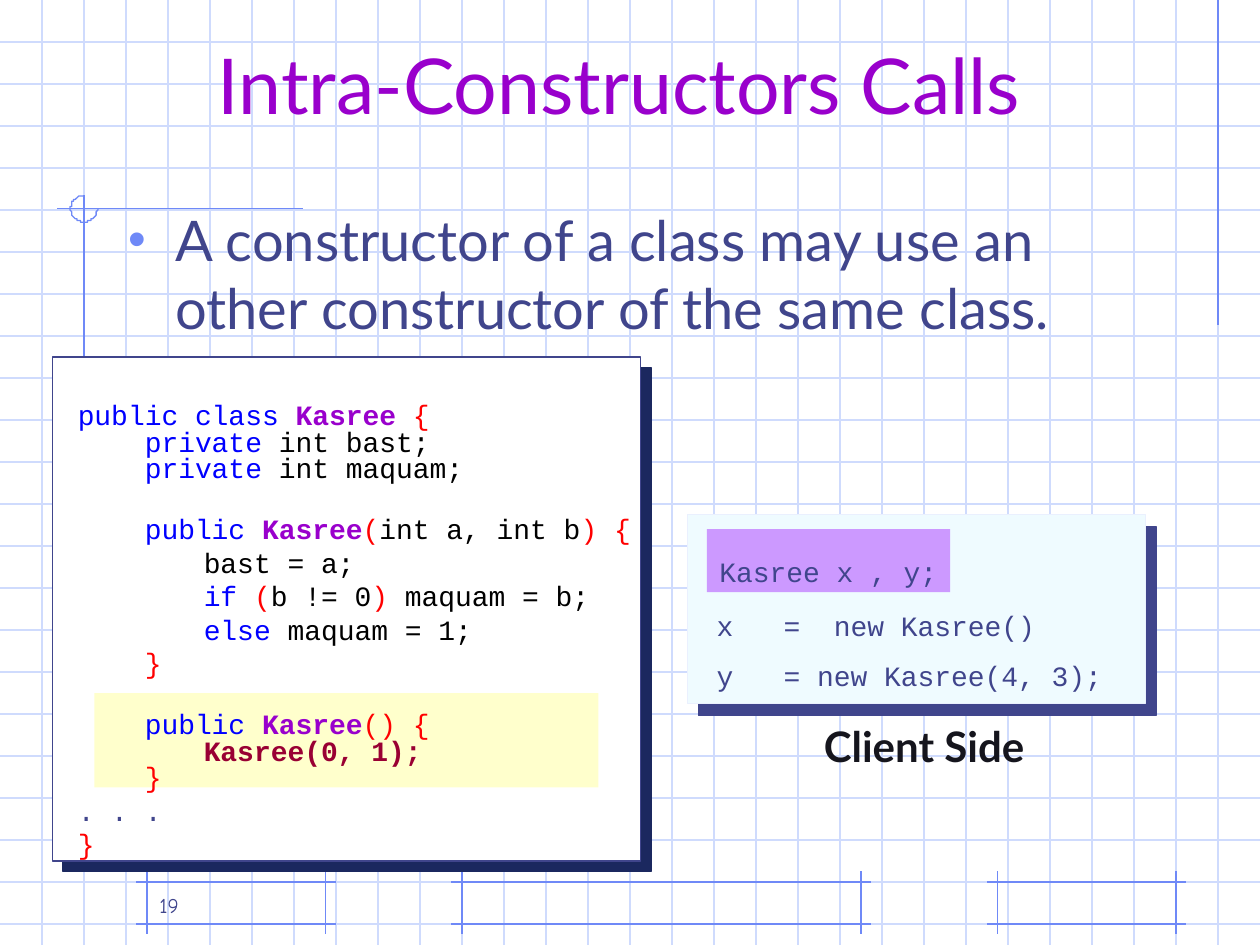
"""Build the slide on constructors that call each other."""
import math

from lxml import etree
from pptx import Presentation
from pptx import util as u
from pptx.dml.color import RGBColor
from pptx.enum import shapes, text
from pptx.oxml import ns

GRID = RGBColor(0xCF, 0xDB, 0xFD)
ACCENT = RGBColor(0x6F, 0x89, 0xF7)
WHITE = RGBColor(0xFF, 0xFF, 0xFF)
INDIGO = RGBColor(0x40, 0x45, 0x8C)
NAVY = RGBColor(0x1B, 0x28, 0x5F)
CREAM = RGBColor(0xFF, 0xFF, 0xCC)
ICE = RGBColor(0xEF, 0xFB, 0xFF)
ICE_EDGE = RGBColor(0xEA, 0xF0, 0xFE)
LILAC = RGBColor(0xCC, 0x99, 0xFF)
PURPLE = RGBColor(0x99, 0x00, 0xCC)
BLUE = RGBColor(0x00, 0x00, 0xFF)
RED = RGBColor(0xFF, 0x00, 0x00)
MAROON = RGBColor(0x99, 0x00, 0x33)
BLACK = RGBColor(0x00, 0x00, 0x00)
INK = RGBColor(0x15, 0x15, 0x1D)

WIDTH, HEIGHT, STEP = 720, 540, 24
SANS, MONO, NUMBER = "Lato", "Courier New", "Comic Neue"
TIGHT, NORMAL, WIDE = 15.3, 19.1, 28.6

KASREE = ("Kasree", PURPLE, True)
CLASS_CODE = [
    (TIGHT, 0, [("public class ", BLUE), ("Kasree ", PURPLE, True), ("{", RED)]),
    (TIGHT, 0, [("    private ", BLUE), ("int bast;", BLACK)]),
    (TIGHT, 0, [("    private ", BLUE), ("int maquam;", BLACK)]),
    (NORMAL, 15.8, [("    public ", BLUE), KASREE, ("(", RED),
                    ("int a, int b", BLACK), (") {", RED)]),
    (NORMAL, 0, [("\tbast = a;", BLACK)]),
    (NORMAL, 0, [("\tif ", BLUE), ("(", RED), ("b != 0", BLACK), (")", RED),
                 (" maquam = b;", BLACK)]),
    (NORMAL, 0, [("\telse", BLUE), (" maquam = 1;", BLACK)]),
    (NORMAL, 0, [("    }", RED)]),
    (TIGHT, 19.3, [("    public ", BLUE), KASREE, ("() {", RED)]),
    (TIGHT, 0, [("\tKasree(0, 1);", MAROON, True)]),
    (TIGHT, 0, [("    }", RED)]),
    (NORMAL, 0, [(". . .", INDIGO)]),
    (NORMAL, 0, [("}", RED)]),
]
CLIENT_CODE = [
    (WIDE, 0, [("x   =  new Kasree()", INDIGO)]),
    (WIDE, 0, [("y   = new Kasree(4, 3);", INDIGO)]),
]
DECLARATION = [(30, 0, [("Kasree x , y;", INDIGO)])]


def add_line(page, x1, y1, x2, y2, color=ACCENT):
    """Draw a thin straight line without a shadow."""
    line = page.shapes.add_connector(
        shapes.MSO_CONNECTOR.STRAIGHT, u.Pt(x1), u.Pt(y1), u.Pt(x2), u.Pt(y2))
    line.line.color.rgb = color
    line.line.width = u.Pt(0.75)
    etree.SubElement(line.element.spPr, ns.qn("a:effectLst"))


def add_grid(page):
    """Rule the page in equal squares."""
    for y in range(STEP, HEIGHT, STEP):
        add_line(page, 0, y, WIDTH, y, GRID)
    for x in range(STEP, WIDTH - STEP + 1, STEP):
        add_line(page, x, 0, x, HEIGHT, GRID)


def add_crossed_frame(page, left, right):
    """Draw a footer frame whose edges run past its corners."""
    top, bottom, overrun = 504, 528, 6
    for y in (top, bottom):
        add_line(page, left - overrun, y, right + overrun, y)
    for x in (left, right):
        add_line(page, x, top - overrun, x, bottom + overrun)


def add_open_circle(page, x, y, radius):
    """Draw three quarters of a circle, open at the upper right."""
    points = [(x + radius * math.cos(math.radians(angle)),
               y + radius * math.sin(math.radians(angle)))
              for angle in range(270, -1, -6)]
    builder = page.shapes.build_freeform(*points[0], scale=u.Pt(1))
    builder.add_line_segments(points[1:], close=False)
    circle = builder.convert_to_shape()
    circle.shadow.inherit = False
    circle.fill.background()
    circle.line.color.rgb = ACCENT
    circle.line.width = u.Pt(0.75)


def add_panel(page, bounds, fill, edge=None):
    """Add a filled rectangle, outlined when an edge colour is given."""
    panel = page.shapes.add_shape(
        shapes.MSO_SHAPE.RECTANGLE, *[u.Pt(value) for value in bounds])
    panel.shadow.inherit = False
    panel.fill.solid()
    panel.fill.fore_color.rgb = fill
    if edge is None:
        panel.line.fill.background()
    else:
        panel.line.color.rgb = edge
        panel.line.width = u.Pt(0.75)
    return panel


def add_hard_shadow(panel, color, distance, angle):
    """Give a panel a sharp offset shadow."""
    effects = panel.element.spPr.find(ns.qn("a:effectLst"))
    shadow = etree.SubElement(
        effects, ns.qn("a:outerShdw"), dist=str(u.Pt(distance)),
        dir=str(angle * 60000), algn="ctr", rotWithShape="0")
    etree.SubElement(shadow, ns.qn("a:srgbClr"), val=str(color))


def add_text_box(page, bounds, wrap=True):
    """Add an empty text box."""
    box = page.shapes.add_textbox(*[u.Pt(value) for value in bounds])
    box.text_frame.word_wrap = wrap
    return box


def style_font(font, name, size, color, bold=False):
    """Set the typeface, size, colour and weight."""
    font.name, font.size, font.bold = name, u.Pt(size), bold
    font.color.rgb = color


def write_label(box, words, *style):
    """Write one paragraph in a single style."""
    box.text_frame.text = words
    para = box.text_frame.paragraphs[0]
    style_font(para.runs[0].font, *style)
    return para


def write_code(box, lines):
    """Write coloured code lines with a one-inch tab stop."""
    frame = box.text_frame
    for index, (height, gap, pieces) in enumerate(lines):
        para = frame.add_paragraph() if index else frame.paragraphs[0]
        para.alignment = text.PP_ALIGN.LEFT
        para.line_spacing = u.Pt(height)
        para.space_before = u.Pt(gap)
        tabs = etree.SubElement(para._p.get_or_add_pPr(), ns.qn("a:tabLst"))
        etree.SubElement(tabs, ns.qn("a:tab"), pos=str(u.Pt(72)), algn="l")
        for words, *style in pieces:
            span = para.add_run()
            span.text = words
            style_font(span.font, MONO, 16, *style)


def place_placeholder(holder, bounds, anchor):
    """Move a placeholder to its bounds, in front of what is drawn so far."""
    holder.left, holder.top, holder.width, holder.height = [u.Pt(v) for v in bounds]
    holder.text_frame.auto_size = text.MSO_AUTO_SIZE.NONE
    holder.text_frame.vertical_anchor = anchor
    holder.element.getparent().append(holder.element)


def add_bullet(para, color, percent, indent):
    """Give a paragraph a coloured hanging bullet."""
    props = para._p.get_or_add_pPr()
    props.set("marL", str(u.Pt(indent)))
    props.set("indent", str(-u.Pt(indent)))
    tint = etree.SubElement(props, ns.qn("a:buClr"))
    etree.SubElement(tint, ns.qn("a:srgbClr"), val=str(color))
    etree.SubElement(props, ns.qn("a:buSzPct"), val=str(percent * 1000))
    etree.SubElement(props, ns.qn("a:buChar"), char="•")


def add_backdrop(page):
    """Draw the squared paper with its drafting marks."""
    add_grid(page)
    for left, right in ((264, 492), (570, 672), (84, 186)):
        add_crossed_frame(page, left, right)
    add_line(page, 696, 0, 696, 186)
    add_line(page, 173, 119.2, 32.5, 119.2)
    add_line(page, 48, 111.6, 48, 294.5)
    add_open_circle(page, 48, 119.2, 7.6)


def main():
    """Build and save the deck."""
    deck = Presentation()
    deck.slide_width, deck.slide_height = u.Pt(WIDTH), u.Pt(HEIGHT)
    page = deck.slides.add_slide(deck.slide_layouts[1])
    add_backdrop(page)

    class_panel = add_panel(page, (30, 204, 336, 288), WHITE, INDIGO)
    add_hard_shadow(class_panel, NAVY, 8.5, 45)
    add_panel(page, (54, 396, 288, 54), CREAM)

    title, body = page.shapes.title, page.placeholders[1]
    place_placeholder(title, (48, 12, 612, 66), text.MSO_ANCHOR.BOTTOM)
    heading = write_label(title, "Intra-Constructors Calls", SANS, 44, PURPLE)
    heading.alignment = text.PP_ALIGN.CENTER
    place_placeholder(body, (66, 114, 612, 324), text.MSO_ANCHOR.TOP)
    point = write_label(
        body, "A constructor of a class may use an other constructor of the same class.",
        SANS, 32, INDIGO)
    point.space_before = u.Pt(0)
    add_bullet(point, ACCENT, 90, 27)

    write_code(add_text_box(page, (37.4, 227.4, 335, 264)), CLASS_CODE)

    client_panel = add_panel(page, (393, 294, 261.5, 108), ICE, ICE_EDGE)
    add_hard_shadow(client_panel, INDIGO, 9.2, 49)
    write_code(add_text_box(page, (402.5, 335, 235, 64), wrap=False), CLIENT_CODE)
    write_label(add_text_box(page, (463.7, 408.2, 140, 36), wrap=False),
                "Client Side", SANS, 24, INK, True)
    declaration = add_panel(page, (404, 302.4, 139, 36), LILAC)
    declaration.text_frame.word_wrap = False
    declaration.text_frame.vertical_anchor = text.MSO_ANCHOR.TOP
    write_code(declaration, DECLARATION)

    number = add_text_box(page, (84, 492, 150, 36))
    number.text_frame.vertical_anchor = text.MSO_ANCHOR.BOTTOM
    write_label(number, "19", NUMBER, 12, INDIGO)
    deck.save("out.pptx")


if __name__ == "__main__":
    main()
